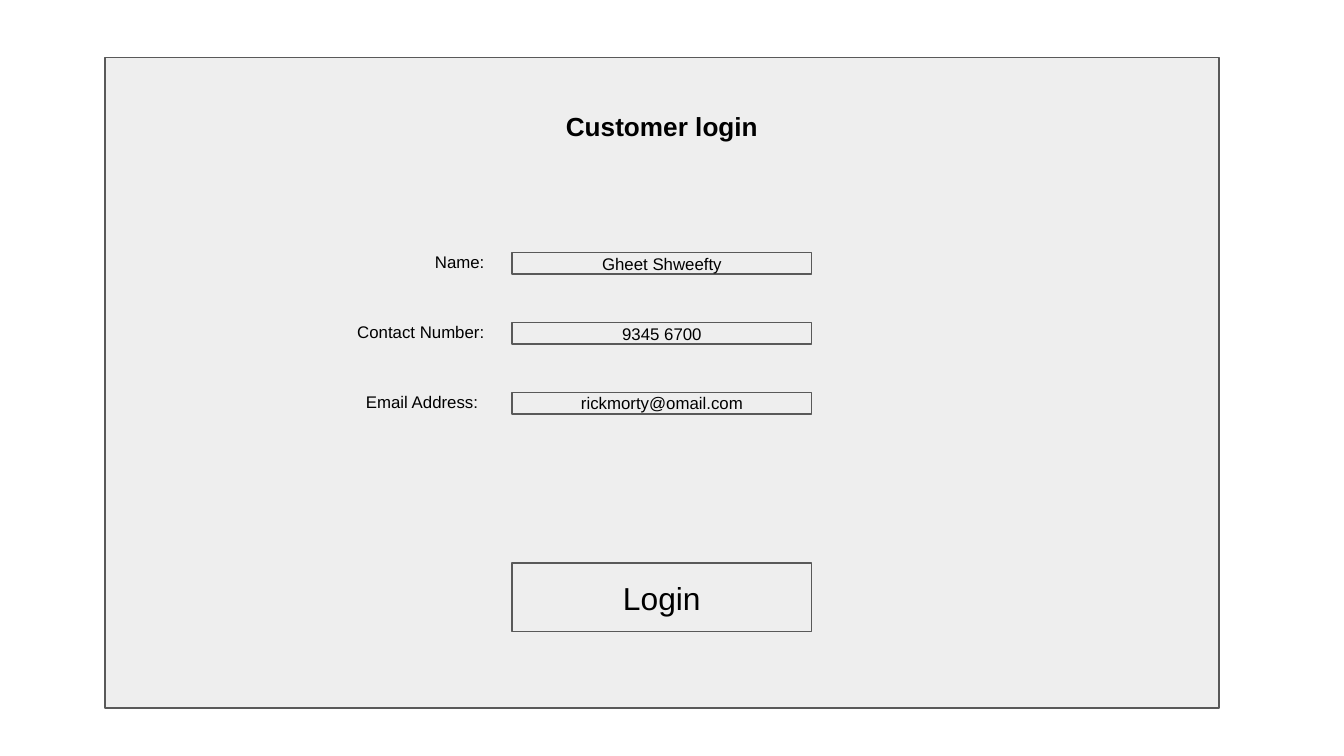
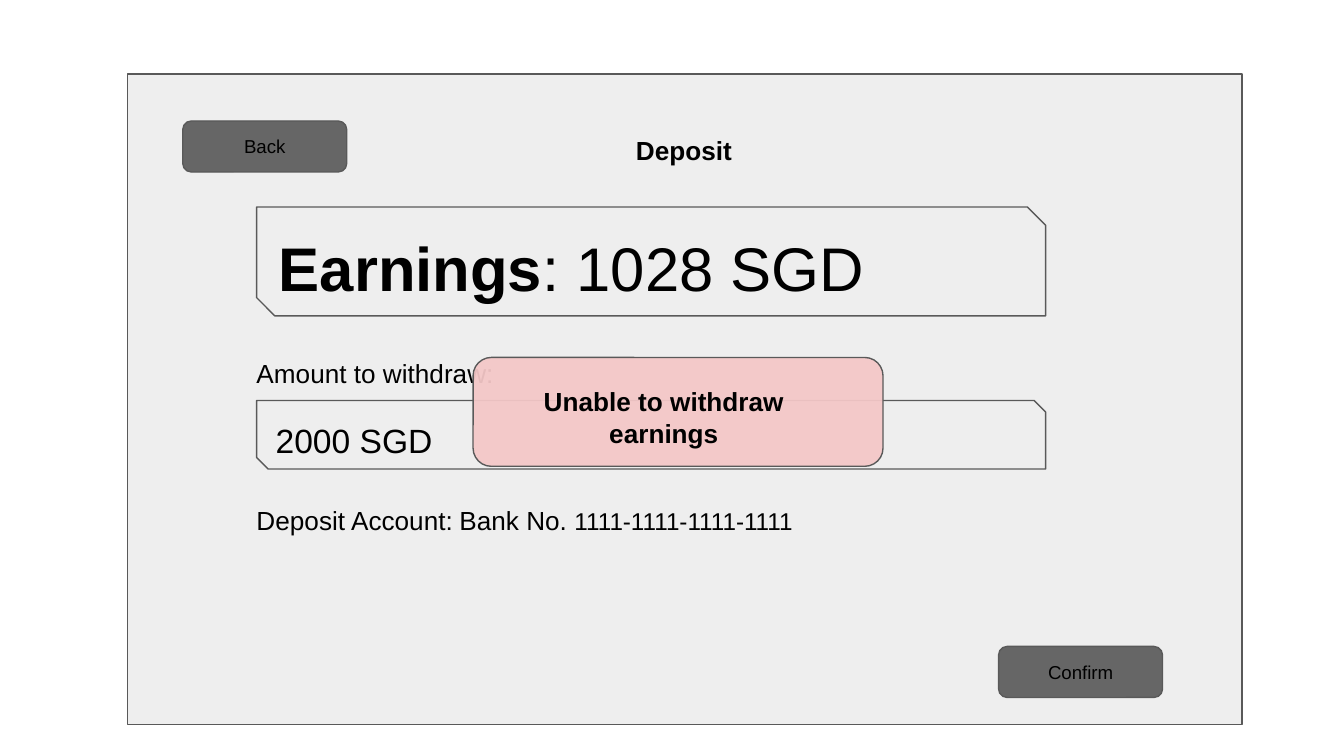
import pptx
import pptx.dml.color
import pptx.enum.shapes
import pptx.enum.text
import pptx.util
from lxml import etree

SHAPES = pptx.enum.shapes.MSO_SHAPE
ANCHOR = pptx.enum.text.MSO_ANCHOR
LEFT = pptx.enum.text.PP_ALIGN.LEFT
CENTER = pptx.enum.text.PP_ALIGN.CENTER

# Shared look
SLIDE_WIDTH = pptx.util.Inches(10)
SLIDE_HEIGHT = pptx.util.Inches(5.625)
UNIT = SLIDE_WIDTH / 100  # square grid: 100 columns, 56.25 rows
FONT = "Arial"
INK = "000000"
PANEL = "EEEEEE"
OUTLINE = "595959"
BUTTON = "666666"
ALERT = "F4C7C7"
TITLE_SIZE = 14
PANEL_SIZE = (82.9, 48.4)
CORNER = 0.167


def color(hex_value):
    return pptx.dml.color.RGBColor.from_string(hex_value)


def grid(*cells):
    return [round(cell * UNIT) for cell in cells]


def write(shape, runs, size, align=CENTER, anchor=ANCHOR.TOP, bold=False):
    """Fill a shape with one paragraph; runs is a text or (text, font settings) pairs."""
    frame = shape.text_frame
    frame.word_wrap = True
    frame.vertical_anchor = anchor
    frame.margin_left, frame.margin_top, frame.margin_right, frame.margin_bottom = grid(1, 1, 1, 1)
    paragraph = frame.paragraphs[0]
    paragraph.alignment = align
    paragraph.font.name = FONT
    paragraph.font.size = pptx.util.Pt(size)
    paragraph.font.bold = bold
    paragraph.font.color.rgb = color(INK)
    for text, settings in [(runs, {})] if isinstance(runs, str) else runs:
        run = paragraph.add_run()
        run.text = text
        for name, value in settings.items():
            setattr(run.font, name, value)


def add_text(slide, box, runs, size, align=CENTER, bold=False):
    write(slide.shapes.add_textbox(*grid(*box)), runs, size, align, bold=bold)


def add_box(slide, kind, box, fill=PANEL):
    shape = slide.shapes.add_shape(kind, *grid(*box))
    shape.shadow.inherit = False
    shape.fill.solid()
    shape.fill.fore_color.rgb = color(fill)
    shape.line.color.rgb = color(OUTLINE)
    shape.line.width = pptx.util.Pt(0.75)
    return shape


def add_panel(slide, left, top):
    add_box(slide, SHAPES.RECTANGLE, (left, top, *PANEL_SIZE))


def add_field(slide, top, height, text, size):
    field = add_box(slide, SHAPES.RECTANGLE, (38.1, top, 22.3, height))
    write(field, text, size, anchor=ANCHOR.MIDDLE)


def add_snipped_field(slide, top, height, runs, size):
    field = add_box(slide, SHAPES.SNIP_2_DIAG_RECTANGLE, (19.1, top, 58.7, height))
    field.adjustments[0], field.adjustments[1] = 0, CORNER
    write(field, runs, size, LEFT)


def add_rounded(slide, box, fill):
    shape = add_box(slide, SHAPES.ROUNDED_RECTANGLE, box, fill)
    shape.adjustments[0] = CORNER
    return shape


def add_button(slide, left, top, text):
    button = add_rounded(slide, (left, top, 12.2, 3.8), BUTTON)
    write(button, text, 10, anchor=ANCHOR.MIDDLE)


def set_opacity(shape, percent):
    fill_color = shape.fill._xPr.find(".//" + pptx.oxml.ns.qn("a:srgbClr"))
    alpha = etree.SubElement(fill_color, pptx.oxml.ns.qn("a:alpha"))
    alpha.set("val", str(percent * 1000))


def build_login(slide):
    add_panel(slide, 7.8, 4.3)
    add_text(slide, (36.5, 7.2, 25.5, 7.6), "Customer login", TITLE_SIZE, bold=True)

    # Form rows: label, label width, value
    rows = [
        ("Name:", 6, "Gheet Shweefty"),
        ("Contact Number:", 11.8, "9345 6700"),
        ("Email Address:", 11.4, "rickmorty@omail.com"),
    ]
    for index, (label, width, value) in enumerate(rows):
        top = 18 + 5.2 * index
        right = 37.1 if label.startswith("Email") else 37.2
        add_text(slide, (right - width, top, width, 3.3), label, 9)
        add_field(slide, top + 0.8, 1.6, value, 9)

    add_field(slide, 41.9, 5.1, "Login", 17)


def build_deposit(slide):
    add_panel(slide, 9.5, 5.5)
    add_text(slide, (13.6, 9, 74.6, 4.7), "Deposit", TITLE_SIZE, bold=True)
    add_button(slide, 13.6, 9, "Back")

    # Earnings and withdrawal
    earnings = [("Earnings", {"bold": True}), (": 1028 SGD", {})]
    add_snipped_field(slide, 15.4, 8.1, earnings, 33)
    add_text(slide, (18.1, 25.6, 22.8, 4.7), "Amount to withdraw:", 14, LEFT)
    add_snipped_field(slide, 29.8, 5.1, "2000 SGD", 18)

    # Receiving account
    account = [("Bank No. ", {}), ("1111-1111-1111-1111", {"size": pptx.util.Pt(13)})]
    add_text(slide, (33.2, 36.5, 37.6, 2.7), account, 14, LEFT)
    add_text(slide, (18.1, 36.5, 22.8, 4.7), "Deposit Account:", 14, LEFT)
    add_button(slide, 74.3, 48.1, "Confirm")

    # Alert over the form
    alert = add_rounded(slide, (35.2, 26.6, 30.5, 8.1), ALERT)
    set_opacity(alert, 94)
    add_text(slide, (37.6, 27.7, 23.6, 4.7), "Unable to withdraw earnings", 14, bold=True)


def main():
    presentation = pptx.Presentation()
    presentation.slide_width = SLIDE_WIDTH
    presentation.slide_height = SLIDE_HEIGHT
    blank = presentation.slide_layouts[6]
    for build in (build_login, build_deposit):
        build(presentation.slides.add_slide(blank))
    presentation.save("out.pptx")


if __name__ == "__main__":
    main()
